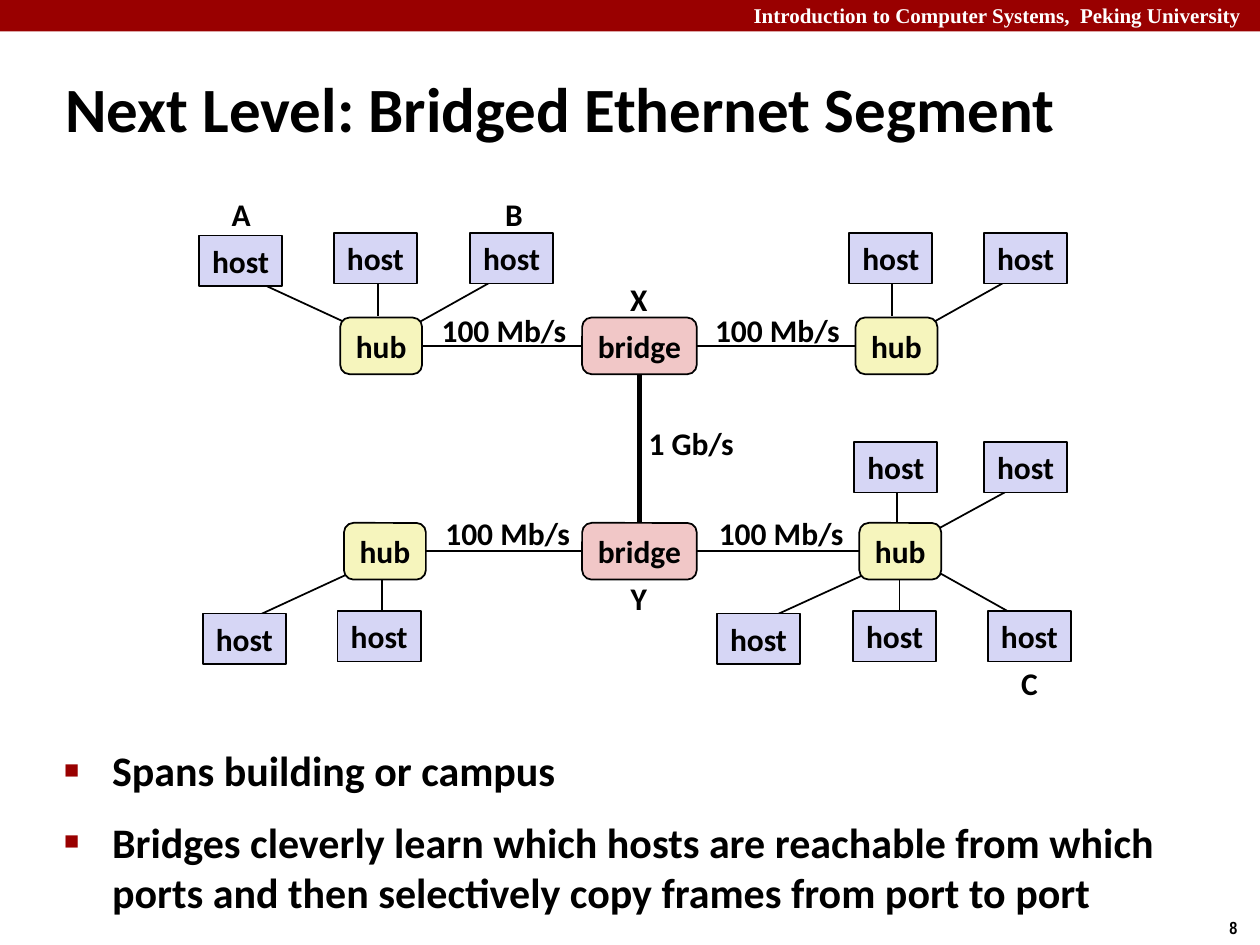
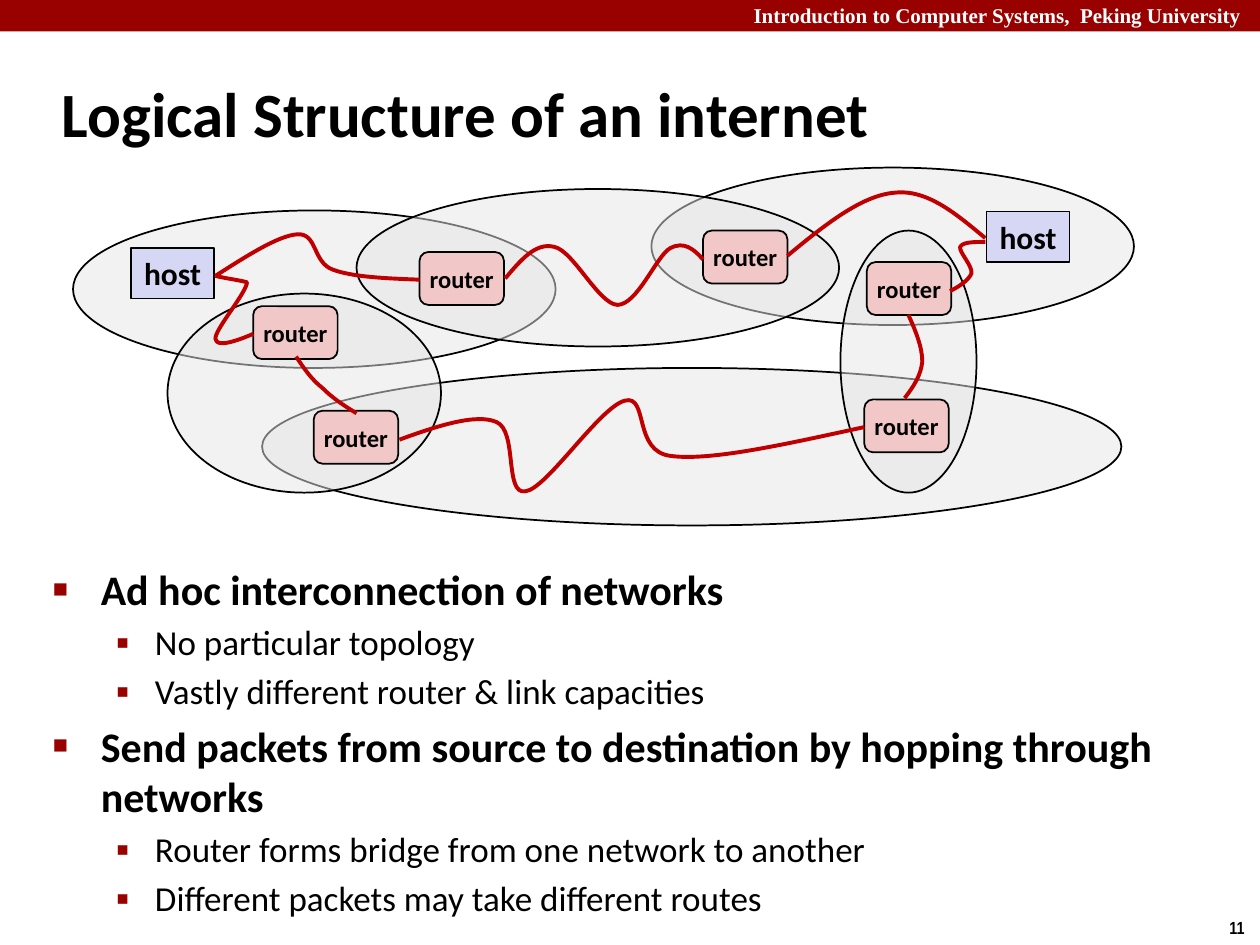
from pptx import Presentation
from pptx.dml.color import RGBColor
from pptx.enum.shapes import MSO_CONNECTOR, MSO_SHAPE
from pptx.enum.text import MSO_ANCHOR, MSO_AUTO_SIZE, PP_ALIGN
from pptx.oxml.ns import qn
from pptx.oxml.xmlchemy import OxmlElement
from pptx.util import Pt

PX = 9144  # EMU per px, at 100 px to the inch
TOP, LEFT, BOTTOM, RIGHT = range(4)

COLORS = {
    "band": "990000", "route": "C00000", "ink": "000000", "paper": "FFFFFF",
    "host": "D6D6F5", "hub": "F6F5BD", "bridge": "F1C7C7", "network": "E6E6E6",
}
BULLETS = [  # by level: mark, mark size %, text indent, hanging, text size, bold
    ("■", 60, 38, 38, 24, True),
    ("▪", 110, 81, 31, 20, False),
]


def color(name):
    return RGBColor.from_string(COLORS[name])


def write(para, text, size=18, font="Calibri", ink="ink", bold=True, align=None):
    para.alignment = align
    span = para.add_run()
    span.text = text
    span.font.size = Pt(size)
    span.font.name = font
    span.font.bold = bold
    span.font.color.rgb = color(ink)


def indent(para, margin, hanging):
    properties = para._p.get_or_add_pPr()
    properties.set("marL", str(margin * PX))
    properties.set("indent", str(-hanging * PX))
    return properties


def add_child(parent, tag, **attributes):
    child = OxmlElement(tag)
    for name, value in attributes.items():
        child.set(name, str(value))
    parent.append(child)
    return child


class SlideBuilder:
    def __init__(self, deck):
        self.deck = deck
        self.page = None

    def start(self, number):
        """Add a page with the shared band, course name and page number."""
        self.page = self.deck.slides.add_slide(self.deck.slide_layouts[1])
        self.shape(MSO_SHAPE.RECTANGLE, (0, 0, 1000, 25), "band", line=None)
        self.label("Introduction to Computer Systems,  Peking University ",
                   (475, -3, 524, 30), size=12, font="Times New Roman",
                   ink="paper", align=PP_ALIGN.RIGHT)
        self.label(str(number), (966, 723, 34, 27), size=10,
                   font="Arial Narrow", align=PP_ALIGN.LEFT)

    def place(self, holder, bounds, anchor):
        holder.left, holder.top, holder.width, holder.height = (n * PX for n in bounds)
        frame = holder.text_frame
        frame.auto_size = MSO_AUTO_SIZE.NONE
        frame.vertical_anchor = anchor
        return frame

    def title(self, text, bounds):
        frame = self.place(self.page.shapes.title, bounds, MSO_ANCHOR.MIDDLE)
        para = frame.paragraphs[0]
        indent(para, 13, 13)
        write(para, text, size=36, align=PP_ALIGN.LEFT)

    def bullets(self, items, bounds):
        """Fill the body with (level, text) items and return its paragraphs."""
        frame = self.place(self.page.placeholders[1], bounds, MSO_ANCHOR.TOP)
        for index, (level, text) in enumerate(items):
            para = frame.add_paragraph() if index else frame.paragraphs[0]
            mark, percent, margin, hanging, size, bold = BULLETS[level]
            para.level = level
            properties = indent(para, margin, hanging)
            tint = add_child(properties, "a:buClr")
            add_child(tint, "a:srgbClr", val=COLORS["band"])
            add_child(properties, "a:buSzPct", val=percent * 1000)
            add_child(properties, "a:buFont", typeface="Arial")
            add_child(properties, "a:buChar", char=mark)
            write(para, text, size=size, bold=bold)
        return frame.paragraphs

    def label(self, text, bounds, align=PP_ALIGN.CENTER, **style):
        box = self.page.shapes.add_textbox(*(n * PX for n in bounds))
        box.text_frame.word_wrap = align == PP_ALIGN.RIGHT
        write(box.text_frame.paragraphs[0], text, align=align, **style)

    def shape(self, preset, bounds, fill, text="", size=18, line="ink"):
        box = self.page.shapes.add_shape(preset, *(n * PX for n in bounds))
        box.shadow.inherit = False
        box.fill.solid()
        box.fill.fore_color.rgb = color(fill)
        if line:
            box.line.color.rgb = color(line)
            box.line.width = Pt(1)
        else:
            box.line.fill.background()
        if text:
            frame = box.text_frame
            frame.word_wrap = False
            frame.vertical_anchor = MSO_ANCHOR.MIDDLE
            write(frame.paragraphs[0], text, size=size, align=PP_ALIGN.CENTER)
        return box

    def host(self, x, y):
        return self.shape(MSO_SHAPE.RECTANGLE, (x, y, 66, 40), "host", "host")

    def hub(self, x, y):
        return self.shape(MSO_SHAPE.ROUNDED_RECTANGLE, (x, y, 65, 45), "hub", "hub")

    def bridge(self, x, y):
        return self.shape(MSO_SHAPE.ROUNDED_RECTANGLE, (x, y, 91, 45), "bridge", "bridge")

    def router(self, x, y):
        return self.shape(MSO_SHAPE.ROUNDED_RECTANGLE, (x, y, 67, 42), "bridge",
                          "router", size=14)

    def network(self, *bounds):
        """Draw a half-transparent ellipse."""
        cloud = self.shape(MSO_SHAPE.OVAL, bounds, "network")
        fill = cloud.element.spPr.find(qn("a:solidFill"))
        add_child(fill[0], "a:alpha", val=50000)

    def line(self, x1, y1, x2, y2, width=1):
        connector = self.page.shapes.add_connector(
            MSO_CONNECTOR.STRAIGHT, x1 * PX, y1 * PX, x2 * PX, y2 * PX)
        connector.line.color.rgb = color("ink")
        connector.line.width = Pt(width)
        add_child(connector.element.spPr, "a:effectLst")
        return connector

    def link(self, first, first_side, second, second_side, width=1):
        connector = self.line(0, 0, 0, 0, width)
        connector.begin_connect(first, first_side)
        connector.end_connect(second, second_side)

    def route(self, start, *points):
        """Draw a curve; each three points are two handles and an end."""
        builder = self.page.shapes.build_freeform(*start, scale=PX)
        builder.add_line_segments(points, close=False)
        curve = builder.convert_to_shape()
        curve.shadow.inherit = False
        curve.fill.background()
        curve.line.color.rgb = color("route")
        curve.line.width = Pt(2.25)
        steps = list(curve.element.iter(qn("a:lnTo")))
        for first, *others in zip(steps[::3], steps[1::3], steps[2::3]):
            bezier = OxmlElement("a:cubicBezTo")
            first.addprevious(bezier)
            for step in (first, *others):
                bezier.append(step[0])
                step.getparent().remove(step)


def bridged_ethernet(slide):
    slide.start(8)
    slide.title("Next Level: Bridged Ethernet Segment", (42, 54, 899, 63))
    first, second = slide.bullets([
        (0, "Spans building or campus"),
        (0, "Bridges cleverly learn which hosts are reachable from which "
            "ports and then selectively copy frames from port to port"),
    ], (41, 592, 909, 91))
    first.line_spacing = 0.85
    second.space_before = Pt(12)

    spokes = [
        (192, 218, 283, 260), (300, 218, 300, 251), (400, 218, 325, 260),
        (708, 218, 708, 251), (808, 218, 733, 260),
        (286, 451, 195, 493), (303, 451, 303, 485),
        (697, 451, 605, 493), (714, 451, 714, 485), (739, 451, 814, 493),
        (712, 385, 712, 418), (808, 385, 733, 426),
    ]
    for spoke in spokes:
        slide.line(*spoke)

    hosts = [
        (158, 187), (265, 185), (373, 185), (674, 185), (781, 185),
        (678, 351), (781, 351),
        (161, 487), (268, 485), (569, 487), (677, 485), (784, 485),
    ]
    for x, y in hosts:
        slide.host(x, y)

    bridges = []
    for y, left_x, label_y in [(252, 270, 242), (415, 273, 403)]:
        left_hub = slide.hub(left_x, y)
        right_hub = slide.hub(left_x + 409, y)
        bridge = slide.bridge(462, y)
        slide.link(left_hub, RIGHT, bridge, LEFT)
        slide.link(bridge, RIGHT, right_hub, LEFT)
        for label_x in (left_x + 70, left_x + 287):
            slide.label("100 Mb/s", (label_x, label_y, 120, 40))
        bridges.append(bridge)
    slide.link(bridges[0], BOTTOM, bridges[1], TOP, width=3)
    slide.label("1 Gb/s", (504, 332, 89, 40))

    for name, x, y in [("A", 174, 150), ("B", 391, 150), ("C", 800, 522),
                       ("X", 490, 217), ("Y", 490, 455)]:
        slide.label(name, (x, y, 34, 40))


def internet_structure(slide):
    slide.start(11)
    slide.title("Logical Structure of an internet", (39, 48, 830, 83))
    slide.bullets([
        (0, "Ad hoc interconnection of networks"),
        (1, "No particular topology"),
        (1, "Vastly different router & link capacities"),
        (0, "Send packets from source to destination by hopping through networks"),
        (1, "Router forms bridge from one network to another"),
        (1, "Different packets may take different routes"),
    ], (32, 442, 909, 230))

    networks = [
        (58, 167, 383, 125), (208, 292, 682, 125), (517, 133, 383, 125),
        (283, 150, 383, 125), (133, 233, 217, 158), (667, 183, 108, 208),
    ]
    for bounds in networks:
        slide.network(*bounds)
    for x, y in [(201, 243), (249, 326), (333, 200), (558, 183), (686, 317), (688, 208)]:
        slide.router(x, y)
    for x, y in [(783, 168), (104, 197)]:
        slide.host(x, y)

    routes = [
        [(171, 219), (179, 221), (188, 222), (196, 224),
         (196, 232), (170, 262), (171, 269), (172, 276), (187, 271), (201, 265)],
        [(171, 219), (196, 203), (221, 187), (236, 186),
         (252, 185), (248, 208), (264, 214), (280, 220), (307, 221), (333, 222)],
        [(235, 283), (241, 292), (247, 301), (256, 308),
         (264, 316), (273, 322), (283, 328)],
        [(401, 221), (413, 207), (425, 192), (440, 196),
         (455, 199), (475, 241), (490, 242), (506, 242), (521, 203), (532, 197),
         (543, 191), (551, 198), (558, 206)],
        [(625, 203), (654, 179), (684, 155), (710, 153),
         (736, 150), (759, 170), (782, 189)],
        [(317, 349), (347, 338), (378, 328), (394, 335),
         (411, 342), (400, 393), (417, 390), (434, 388), (476, 323), (496, 318),
         (515, 313), (502, 359), (533, 362), (565, 366), (626, 352), (686, 339)],
        [(718, 316), (725, 307), (731, 298), (732, 287),
         (732, 276), (727, 263), (721, 250)],
        [(754, 231), (762, 227), (769, 222), (771, 217),
         (772, 211), (761, 200), (762, 196), (764, 192), (773, 192), (782, 192)],
    ]
    for points in routes:
        slide.route(*points)


def main():
    deck = Presentation()
    deck.slide_width, deck.slide_height = 1000 * PX, 750 * PX
    slide = SlideBuilder(deck)
    bridged_ethernet(slide)
    internet_structure(slide)
    deck.save("out.pptx")


if __name__ == "__main__":
    main()
